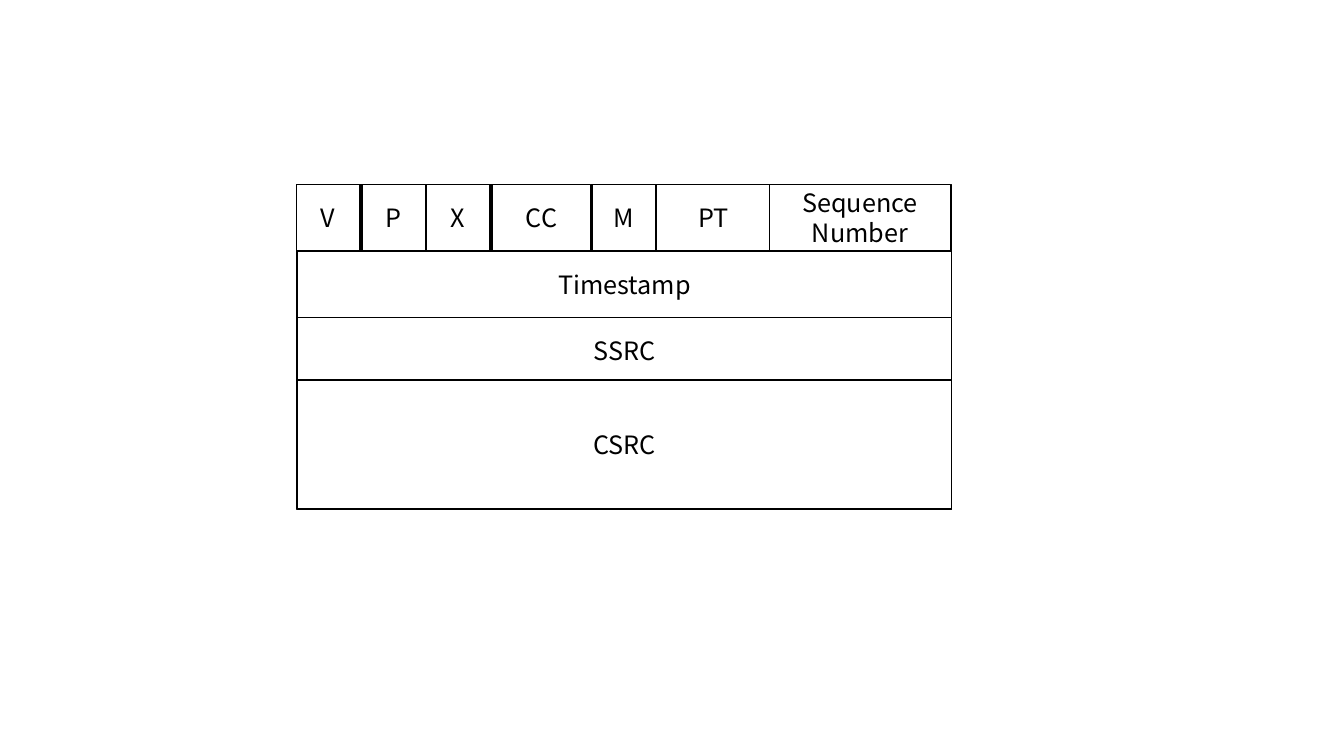
import pptx
import pptx.dml.color
import pptx.enum.shapes
import pptx.enum.text
import pptx.util

Inches = pptx.util.Inches
BLACK = pptx.dml.color.RGBColor(0x00, 0x00, 0x00)
WHITE = pptx.dml.color.RGBColor(0xFF, 0xFF, 0xFF)

HEADER_TOP = 1.83
HEADER_HEIGHT = 0.66
HEADER_FIELDS = [
    ("V", 2.94, 0.63),
    ("P", 3.59, 0.63),
    ("X", 4.23, 0.63),
    ("CC", 4.88, 0.98),
    ("M", 5.87, 0.63),
    ("PT", 6.51, 1.13),
    ("Sequence Number", 7.63, 1.8),
]
ROW_LEFT = 2.95
ROW_WIDTH = 6.49
ROW_FIELDS = [
    ("Timestamp", 2.49, 0.66),
    ("SSRC", 3.15, 0.66),
    ("CSRC", 3.77, 1.28),
]


class PacketDiagram:
    font_name = "Noto Sans CJK SC"
    font_size = pptx.util.Pt(18)
    line_width = pptx.util.Pt(1)

    def __init__(self, slide):
        self.slide = slide

    def box(self, left, top, width, height):
        shape = self.slide.shapes.add_shape(
            pptx.enum.shapes.MSO_SHAPE.RECTANGLE,
            Inches(left), Inches(top), Inches(width), Inches(height))
        shape.shadow.inherit = False
        shape.fill.solid()
        shape.fill.fore_color.rgb = WHITE
        shape.line.color.rgb = BLACK
        shape.line.width = self.line_width
        return shape

    def field(self, label, left, top, width, height):
        text_frame = self.box(left, top, width, height).text_frame
        text_frame.word_wrap = True
        text_frame.vertical_anchor = pptx.enum.text.MSO_ANCHOR.MIDDLE
        paragraph = text_frame.paragraphs[0]
        paragraph.text = label
        paragraph.alignment = pptx.enum.text.PP_ALIGN.CENTER
        paragraph.font.name = self.font_name
        paragraph.font.size = self.font_size
        paragraph.font.color.rgb = BLACK


def main():
    presentation = pptx.Presentation()
    presentation.slide_width = Inches(13.33)
    presentation.slide_height = Inches(7.5)
    slide = presentation.slides.add_slide(presentation.slide_layouts[6])

    diagram = PacketDiagram(slide)
    diagram.box(2.94, HEADER_TOP, 6.5, 3.22)
    for label, left, width in HEADER_FIELDS:
        diagram.field(label, left, HEADER_TOP, width, HEADER_HEIGHT)
    for label, top, height in ROW_FIELDS:
        diagram.field(label, ROW_LEFT, top, ROW_WIDTH, height)

    presentation.save("out.pptx")


if __name__ == "__main__":
    main()
